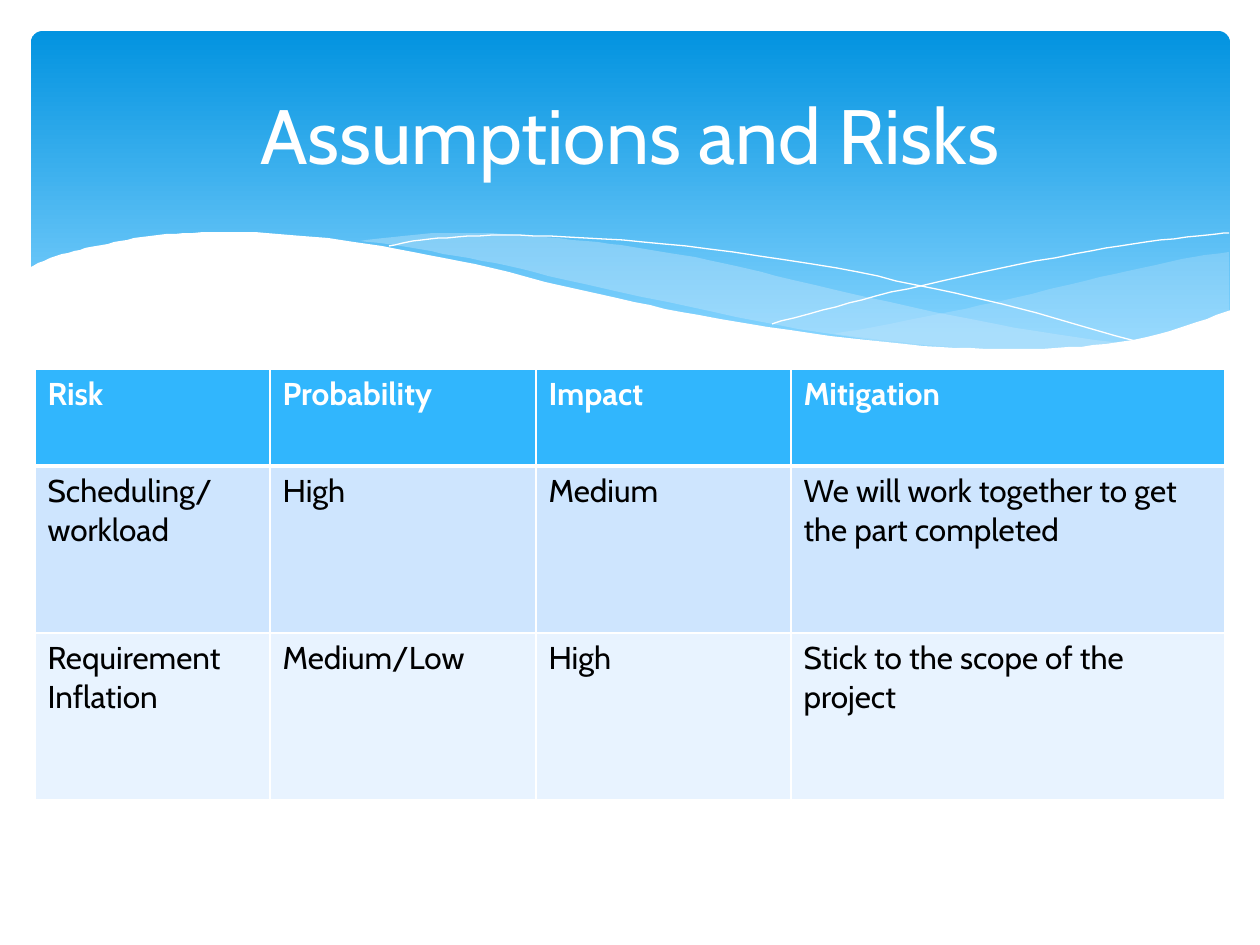
import pptx
import pptx.util
import pptx.dml.color
import pptx.enum.shapes
import pptx.enum.text
import pptx.oxml
import pptx.oxml.ns
import lxml.etree

RGBColor = pptx.dml.color.RGBColor
WHITE = RGBColor(0xFF, 0xFF, 0xFF)
BLACK = RGBColor(0, 0, 0)
SKY_TOP = RGBColor(0x02, 0x93, 0xE0)
SKY_BOTTOM = RGBColor(0x83, 0xD3, 0xFE)
WAVE = RGBColor(0xC6, 0xE7, 0xFC)
HEADER = RGBColor(0x31, 0xB6, 0xFD)
BANDS = [RGBColor(0xCE, 0xE5, 0xFE), RGBColor(0xE8, 0xF3, 0xFF)]
FONT = "Cabin"
SCALE = 914400 / 126  # EMU per pixel

TITLE = "Assumptions and Risks"
RISKS = [
    ("Risk", "Probability", "Impact", "Mitigation"),
    ("Scheduling/\nworkload", "High", "Medium",
     "We will work together to get the part completed"),
    ("Requirement Inflation", "Medium/Low", "High",
     "Stick to the scope of the project"),
]
COLUMN_WIDTHS = [235, 266, 255, 434]
ROW_HEIGHTS = [97, 167, 167]

# Each outline is a list of curves; consecutive curves meet at a corner.
RIGHT_WAVE = [
    [(1229, 252), (1194, 257), (1142, 268), (1085, 281), (1014, 298),
     (949, 312), (890, 324), (833, 334)],
    [(833, 334), (888, 341), (939, 346), (984, 349), (1026, 350), (1063, 349),
     (1098, 347), (1130, 342), (1160, 336), (1187, 327), (1229, 311)],
]
LEFT_WAVE = [
    [(1125, 344), (1055, 334), (976, 320), (890, 302), (793, 280), (736, 266),
     (682, 255), (633, 247), (586, 241), (529, 236), (479, 233), (433, 233),
     (394, 237), (360, 241)],
    [(360, 241), (407, 247), (456, 256), (509, 266), (566, 280), (668, 302),
     (757, 321), (838, 335), (912, 345), (975, 349), (1031, 350), (1080, 349),
     (1125, 344)],
]
FALLING_LINE = [
    [(389, 246), (422, 240), (457, 237), (505, 235), (567, 237), (643, 242),
     (733, 252), (837, 268), (916, 285), (1002, 304), (1143, 343)],
]
RISING_LINE = [
    [(772, 324), (823, 310), (876, 296), (942, 281), (1016, 265), (1091, 251),
     (1146, 242), (1198, 236), (1229, 233)],
]
WHITE_WAVE = [
    [(1231, 310), (1197, 322), (1159, 334), (1106, 344), (1055, 348),
     (1000, 349), (940, 347), (867, 340), (790, 330), (699, 315), (634, 302),
     (563, 286), (492, 268), (428, 255), (368, 244), (315, 237), (266, 233),
     (223, 232), (184, 233), (150, 236), (120, 241), (96, 246), (74, 251),
     (50, 258), (29, 268)],
    [(29, 415), (1231, 415)],
]


def px(pixels):
    """Turn pixels into EMU."""
    return pptx.util.Emu(round(pixels * SCALE))


def smooth_curve(points, steps=4):
    """Return points on a Catmull-Rom curve through the given points."""
    padded = [points[0], *points, points[-1]]
    curve = [points[0]]
    for a, b, c, d in zip(padded, padded[1:], padded[2:], padded[3:]):
        for step in range(1, steps + 1):
            t = step / steps
            curve.append(tuple(
                0.5 * (2 * q + (r - p) * t + (2 * p - 5 * q + 4 * r - s) * t ** 2
                       + (3 * q - p - 3 * r + s) * t ** 3)
                for p, q, r, s in zip(a, b, c, d)))
    return curve


def add_outline(page, curves, closed=True):
    """Draw a freeform through the curves."""
    points = [point for curve in curves for point in smooth_curve(curve)]
    builder = page.shapes.build_freeform(*points[0], scale=SCALE)
    builder.add_line_segments(points[1:], close=closed)
    shape = builder.convert_to_shape()
    shape.shadow.inherit = False
    return shape


def add_wave(page, curves, color, opacity=100):
    """Draw a filled wave without an outline."""
    shape = add_outline(page, curves)
    shape.line.fill.background()
    shape.fill.solid()
    shape.fill.fore_color.rgb = color
    if opacity < 100:
        tint = shape.fill._xPr.find(".//" + pptx.oxml.ns.qn("a:srgbClr"))
        alpha = lxml.etree.SubElement(tint, pptx.oxml.ns.qn("a:alpha"))
        alpha.set("val", str(opacity * 1000))


def add_hairline(page, curves):
    """Draw a thin white curve."""
    shape = add_outline(page, curves, closed=False)
    shape.fill.background()
    shape.line.color.rgb = WHITE
    shape.line.width = pptx.util.Pt(0)


def add_banner(page):
    """Draw the blue banner with its waves."""
    banner = page.shapes.add_shape(
        pptx.enum.shapes.MSO_SHAPE.ROUNDED_RECTANGLE,
        px(31), px(31), px(1199), px(340))
    banner.adjustments[0] = 0.034
    banner.shadow.inherit = False
    banner.line.fill.background()
    banner.fill.gradient()
    banner.fill.gradient_angle = 270
    stops = [(0, SKY_TOP), (0.9, SKY_BOTTOM)]
    for stop, (position, color) in zip(banner.fill.gradient_stops, stops):
        stop.position = position
        stop.color.rgb = color
    add_wave(page, RIGHT_WAVE, WAVE, 29)
    add_wave(page, LEFT_WAVE, WAVE, 40)
    add_hairline(page, FALLING_LINE)
    add_hairline(page, RISING_LINE)
    add_wave(page, WHITE_WAVE, WHITE)


def set_borders(cell, top, bottom):
    """Give a cell white borders, with top and bottom widths in points."""
    properties = cell._tc.get_or_add_tcPr()
    widths = [("L", 1), ("R", 1), ("T", top), ("B", bottom)]
    for index, (side, width) in enumerate(widths):
        properties.insert(index, pptx.oxml.parse_xml(
            f'<a:ln{side} {pptx.oxml.ns.nsdecls("a")} w="{width * 12700}">'
            f'<a:solidFill><a:srgbClr val="{WHITE}"/></a:solidFill>'
            f'</a:ln{side}>'))


def add_risk_table(page):
    """Add the table of risks."""
    table = page.shapes.add_table(
        len(RISKS), len(COLUMN_WIDTHS), px(35), px(369),
        px(sum(COLUMN_WIDTHS)), px(sum(ROW_HEIGHTS))).table
    for column, width in zip(table.columns, COLUMN_WIDTHS):
        column.width = px(width)
    for index, (row, height, texts) in enumerate(
            zip(table.rows, ROW_HEIGHTS, RISKS)):
        row.height = px(height)
        is_header = index == 0
        for cell, text in zip(row.cells, texts):
            cell.text = text
            cell.fill.solid()
            cell.fill.fore_color.rgb = HEADER if is_header else BANDS[index - 1]
            set_borders(cell, top=3 if index == 1 else 1,
                        bottom=3 if is_header else 1)
            for para in cell.text_frame.paragraphs:
                set_font(para, 18, WHITE if is_header else BLACK, is_header)


def set_font(para, size, color, bold=False):
    """Set the font of a paragraph."""
    para.font.name = FONT
    para.font.size = pptx.util.Pt(size)
    para.font.color.rgb = color
    para.font.bold = bold


def add_title(page):
    """Add the slide title."""
    box = page.shapes.add_textbox(px(63), px(47), px(1134), px(173))
    frame = box.text_frame
    frame.word_wrap = True
    frame.vertical_anchor = pptx.enum.text.MSO_ANCHOR.MIDDLE
    para = frame.paragraphs[0]
    para.text = TITLE
    para.alignment = pptx.enum.text.PP_ALIGN.CENTER
    set_font(para, 44, WHITE)


deck = pptx.Presentation()
deck.slide_width, deck.slide_height = px(1260), px(945)
page = deck.slides.add_slide(deck.slide_layouts[6])
add_banner(page)
add_risk_table(page)
add_title(page)
deck.save("out.pptx")
